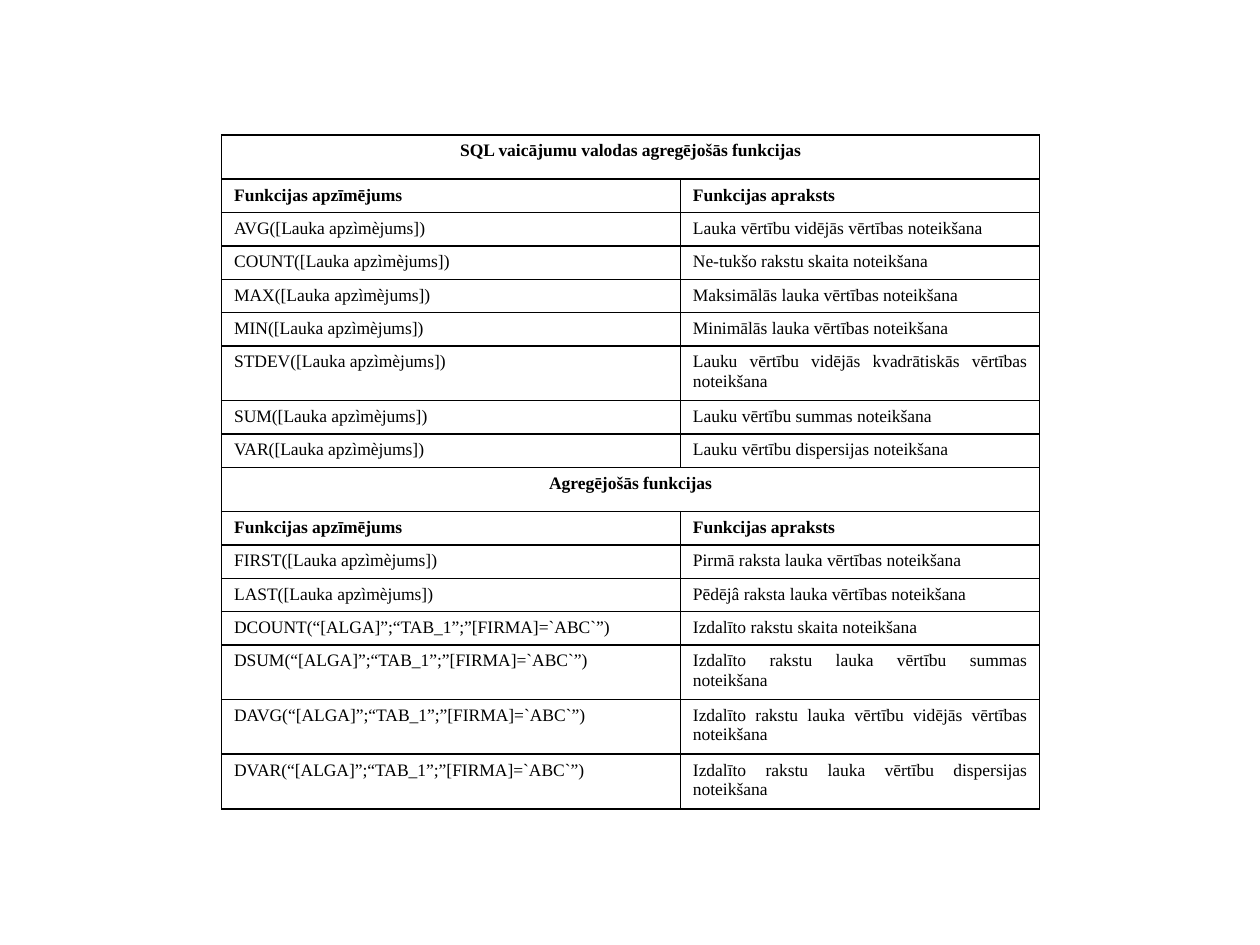
from dataclasses import dataclass

from lxml import etree
from pptx import Presentation
from pptx.dml.color import RGBColor
from pptx.enum import text
from pptx.oxml import ns
from pptx.util import Pt


@dataclass(frozen=True)
class Theme:
    font: str = "Times New Roman"
    size: float = 10
    ink: str = "000000"
    outer_line: float = 0.96
    inner_line: float = 0.34


THEME = Theme()
COLUMN_WIDTHS = (262.2, 205.2)
SECTION_HEIGHT, LINE_HEIGHT, TWO_LINE_HEIGHT = 25.2, 19.1, 31.2
LONGEST_LINE = 43
HEADINGS = ("Funkcijas apzīmējums", "Funkcijas apraksts")


def field_call(name):
    return f"{name}([Lauka apzìmèjums])"


def domain_call(name):
    return f"{name}(“[ALGA]”;“TAB_1”;”[FIRMA]=`ABC`”)"


SECTIONS = {
    "SQL vaicājumu valodas agregējošās funkcijas": [
        (field_call("AVG"), "Lauka vērtību vidējās vērtības noteikšana"),
        (field_call("COUNT"), "Ne-tukšo rakstu skaita noteikšana"),
        (field_call("MAX"), "Maksimālās lauka vērtības noteikšana"),
        (field_call("MIN"), "Minimālās lauka vērtības noteikšana"),
        (field_call("STDEV"), "Lauku vērtību vidējās kvadrātiskās vērtības noteikšana"),
        (field_call("SUM"), "Lauku vērtību summas noteikšana"),
        (field_call("VAR"), "Lauku vērtību dispersijas noteikšana"),
    ],
    "Agregējošās funkcijas": [
        (field_call("FIRST"), "Pirmā raksta lauka vērtības noteikšana"),
        (field_call("LAST"), "Pēdējâ raksta lauka vērtības noteikšana"),
        (domain_call("DCOUNT"), "Izdalīto rakstu skaita noteikšana"),
        (domain_call("DSUM"), "Izdalīto rakstu lauka vērtību summas noteikšana"),
        (domain_call("DAVG"), "Izdalīto rakstu lauka vērtību vidējās vērtības noteikšana"),
        (domain_call("DVAR"), "Izdalīto rakstu lauka vērtību dispersijas noteikšana"),
    ],
}


def set_borders(cell, left, right):
    widths = {"L": left, "R": right, "T": THEME.outer_line, "B": THEME.outer_line}
    properties = cell._tc.get_or_add_tcPr()
    for position, (side, width) in enumerate(widths.items()):
        border = etree.Element(ns.qn(f"a:ln{side}"), w=str(Pt(width)))
        fill = etree.SubElement(border, ns.qn("a:solidFill"))
        etree.SubElement(fill, ns.qn("a:srgbClr"), val=THEME.ink)
        properties.insert(position, border)


def format_cell(cell, left, right):
    cell.fill.background()
    cell.margin_left = cell.margin_right = Pt(7.2)
    cell.margin_top = cell.margin_bottom = Pt(3.6)
    set_borders(cell, left, right)


def write_cell(cell, wording, bold, alignment):
    paragraph = cell.text_frame.paragraphs[0]
    paragraph.text = wording
    paragraph.alignment = alignment
    paragraph.font.name = THEME.font
    paragraph.font.size = Pt(THEME.size)
    paragraph.font.bold = bold
    paragraph.font.color.rgb = RGBColor.from_string(THEME.ink)


def fill_section_row(table, index, title):
    table.rows[index].height = Pt(SECTION_HEIGHT)
    first, last = table.cell(index, 0), table.cell(index, 1)
    for cell in (first, last):
        format_cell(cell, THEME.outer_line, THEME.outer_line)
    first.merge(last)
    write_cell(first, title, True, text.PP_ALIGN.CENTER)


def fill_function_row(table, index, entry, bold):
    wraps = len(entry[1]) > LONGEST_LINE
    table.rows[index].height = Pt(TWO_LINE_HEIGHT if wraps else LINE_HEIGHT)
    sides = ((THEME.outer_line, THEME.inner_line), (THEME.inner_line, THEME.outer_line))
    for column, wording in enumerate(entry):
        cell = table.cell(index, column)
        format_cell(cell, *sides[column])
        write_cell(cell, wording, bold, text.PP_ALIGN.JUSTIFY)


def add_function_table(slide):
    row_count = sum(len(functions) + 2 for functions in SECTIONS.values())
    table = slide.shapes.add_table(
        row_count, len(COLUMN_WIDTHS), Pt(126.6), Pt(77.2),
        Pt(sum(COLUMN_WIDTHS)), Pt(385.2),
    ).table
    table.first_row = table.horz_banding = False
    for column, width in zip(table.columns, COLUMN_WIDTHS):
        column.width = Pt(width)
    index = 0
    for title, functions in SECTIONS.items():
        fill_section_row(table, index, title)
        for offset, entry in enumerate([HEADINGS, *functions], start=1):
            fill_function_row(table, index + offset, entry, entry == HEADINGS)
        index += len(functions) + 2


def main():
    presentation = Presentation()
    presentation.slide_width, presentation.slide_height = Pt(720), Pt(540)
    slide = presentation.slides.add_slide(presentation.slide_layouts[6])
    add_function_table(slide)
    presentation.save("out.pptx")


if __name__ == "__main__":
    main()
